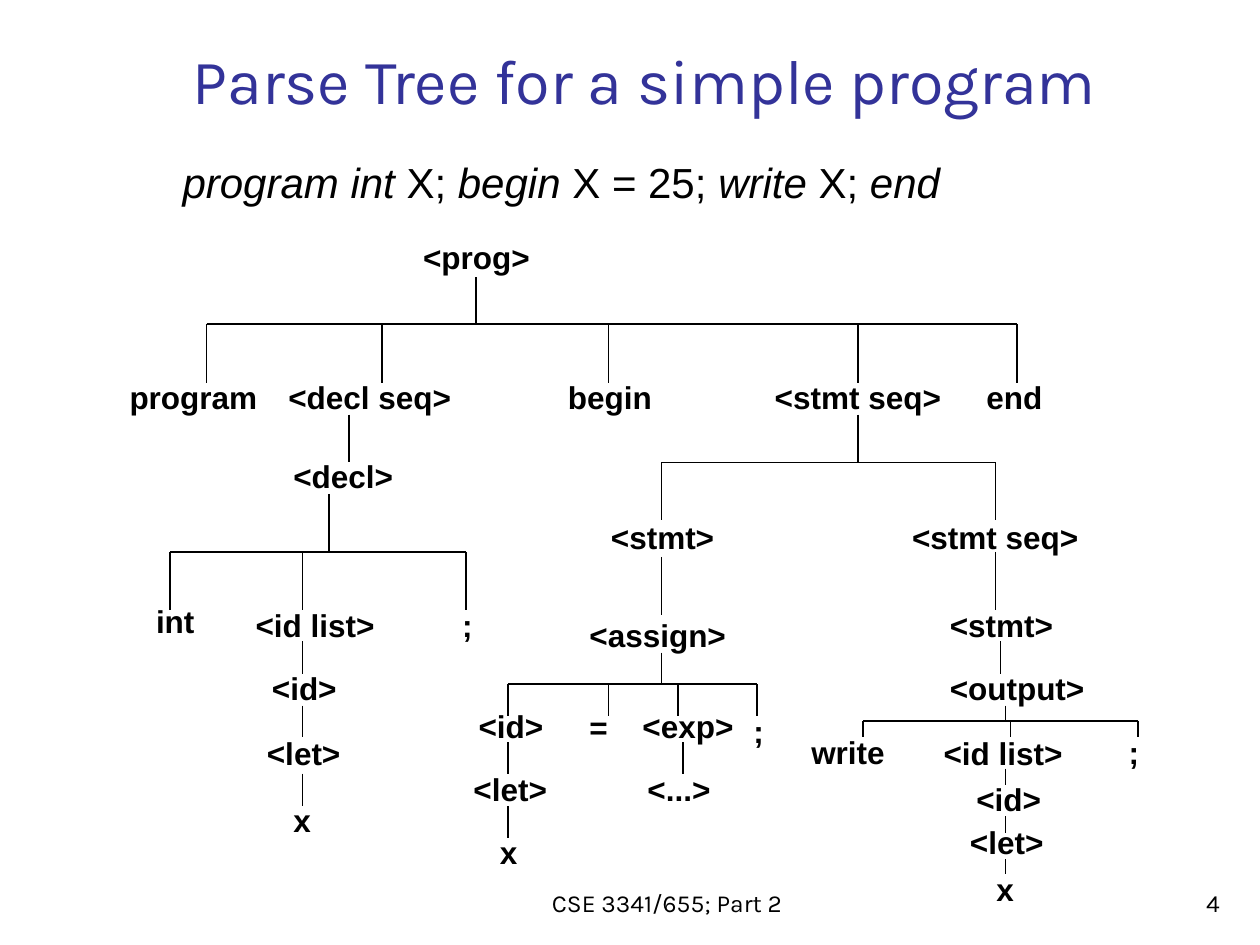
from lxml import etree
from pptx import Presentation
from pptx.dml.color import RGBColor
from pptx.enum.shapes import MSO_CONNECTOR
from pptx.enum.text import MSO_ANCHOR, PP_ALIGN
from pptx.oxml.ns import qn
from pptx.util import Emu, Pt

STRAIGHT = MSO_CONNECTOR.STRAIGHT
TOP, BOTTOM = MSO_ANCHOR.TOP, MSO_ANCHOR.BOTTOM
LEFT, CENTER, RIGHT = PP_ALIGN.LEFT, PP_ALIGN.CENTER, PP_ALIGN.RIGHT

EMU_PER_PX = 9144  # 100 px to the inch
BLACK, INDIGO = "000000", "333399"
NODE_HEIGHT = 40

TITLE = "Parse Tree for a simple program"
# (text, italic)
PROGRAM = [
    ("program int", True), (" X; ", False), ("begin", True),
    (" X = 25; ", False), ("write", True), (" X; ", False), ("end", True),
]
FOOTER = "CSE 3341/655; Part 2"
PAGE_NUMBER = "4"

# (text, left, top, width)
NODES = [
    ("<prog>", 326, 184, 107),
    ("program", 93, 295, 126),
    ("<decl seq>", 219, 295, 155),
    ("begin", 441, 295, 126),
    ("<stmt seq>", 605, 295, 155),
    ("end", 773, 295, 97),
    # declarations
    ("<decl>", 223, 358, 113),
    ("int", 114, 473, 76),
    ("<id list>", 193, 476, 139),
    (";", 357, 476, 55),
    ("<id>", 206, 526, 84),
    ("<let>", 202, 578, 84),
    ("x", 223, 631, 46),
    # assignment
    ("<stmt>", 475, 406, 109),
    ("<assign>", 458, 484, 134),
    ("<id>", 370, 556, 84),
    ("=", 458, 557, 55),
    ("<exp>", 500, 556, 105),
    (";", 588, 560, 55),
    ("<let>", 366, 606, 84),
    ("<...>", 504, 606, 84),
    ("x", 387, 656, 46),
    # output
    ("<stmt seq>", 714, 406, 155),
    ("<stmt>", 744, 476, 109),
    ("<output>", 744, 526, 143),
    ("write", 634, 577, 109),
    ("<id list>", 739, 578, 139),
    (";", 886, 577, 55),
    ("<id>", 765, 614, 84),
    ("<let>", 760, 648, 84),
    ("x", 781, 686, 46),
]

# (stem x, stem top, bar y, child xs, drop bottom)
BRANCHES = [
    (378, 220, 257, [164, 303, 483, 681, 807], 304),
    (681, 329, 367, [525, 790], 413),
    (261, 392, 438, [135, 240, 370], 484),
    (525, 518, 543, [403, 483, 538, 601], 568),
    (798, 560, 572, [685, 802, 903], 585),
]

# (x, [(top, bottom), ...])
LINKS = [
    (277, [(329, 367)]),
    (240, [(509, 535), (560, 585), (614, 640)]),
    (525, [(442, 488)]),
    (403, [(589, 614), (640, 665)]),
    (542, [(589, 614)]),
    (790, [(438, 484)]),
    (794, [(509, 535)]),
    (798, [(610, 623), (648, 661), (682, 694)]),
]


def px(length):
    return Emu(length * EMU_PER_PX)


def color(value):
    return RGBColor.from_string(value)


def add_text(page, text, left, top, width, height, *, size=18, font="Arial",
             fill=BLACK, bold=False, align=LEFT, anchor=TOP):
    """Add a text box; text is a string or a list of (text, italic) spans."""
    box = page.shapes.add_textbox(px(left), px(top), px(width), px(height))
    frame = box.text_frame
    frame.word_wrap = True
    frame.vertical_anchor = anchor
    para = frame.paragraphs[0]
    para.alignment = align
    spans = [(text, False)] if isinstance(text, str) else text
    for words, italic in spans:
        span = para.add_run()
        span.text = words
        span.font.name = font
        span.font.size = Pt(size)
        span.font.bold = bold
        span.font.italic = italic
        span.font.color.rgb = color(fill)


def add_line(page, x1, y1, x2, y2):
    line = page.shapes.add_connector(STRAIGHT, px(x1), px(y1), px(x2), px(y2))
    line.line.color.rgb = color(BLACK)
    line.line.width = Pt(1)
    etree.SubElement(line._element.spPr, qn("a:effectLst"))


def add_branch(page, stem_x, stem_top, bar_y, child_xs, drop_bottom):
    add_line(page, stem_x, stem_top, stem_x, bar_y)
    add_line(page, child_xs[0], bar_y, child_xs[-1], bar_y)
    for x in child_xs:
        add_line(page, x, bar_y, x, drop_bottom)


def main():
    deck = Presentation()
    deck.slide_width, deck.slide_height = px(1000), px(750)
    page = deck.slides.add_slide(deck.slide_layouts[6])

    add_text(page, TITLE, 143, 14, 790, 84, size=36, font="Karla",
             fill=INDIGO, anchor=BOTTOM)
    add_text(page, PROGRAM, 135, 119, 701, 50, size=24)

    for branch in BRANCHES:
        add_branch(page, *branch)
    for x, stretches in LINKS:
        for top, bottom in stretches:
            add_line(page, x, top, x, bottom)
    for text, left, top, width in NODES:
        add_text(page, text, left, top, width, NODE_HEIGHT, bold=True)

    add_text(page, PAGE_NUMBER, 770, 683, 208, 50, size=14, font="Karla",
             align=RIGHT, anchor=BOTTOM)
    add_text(page, FOOTER, 248, 682, 563, 51, size=14, font="Karla",
             align=CENTER, anchor=BOTTOM)
    deck.save("out.pptx")


if __name__ == "__main__":
    main()
